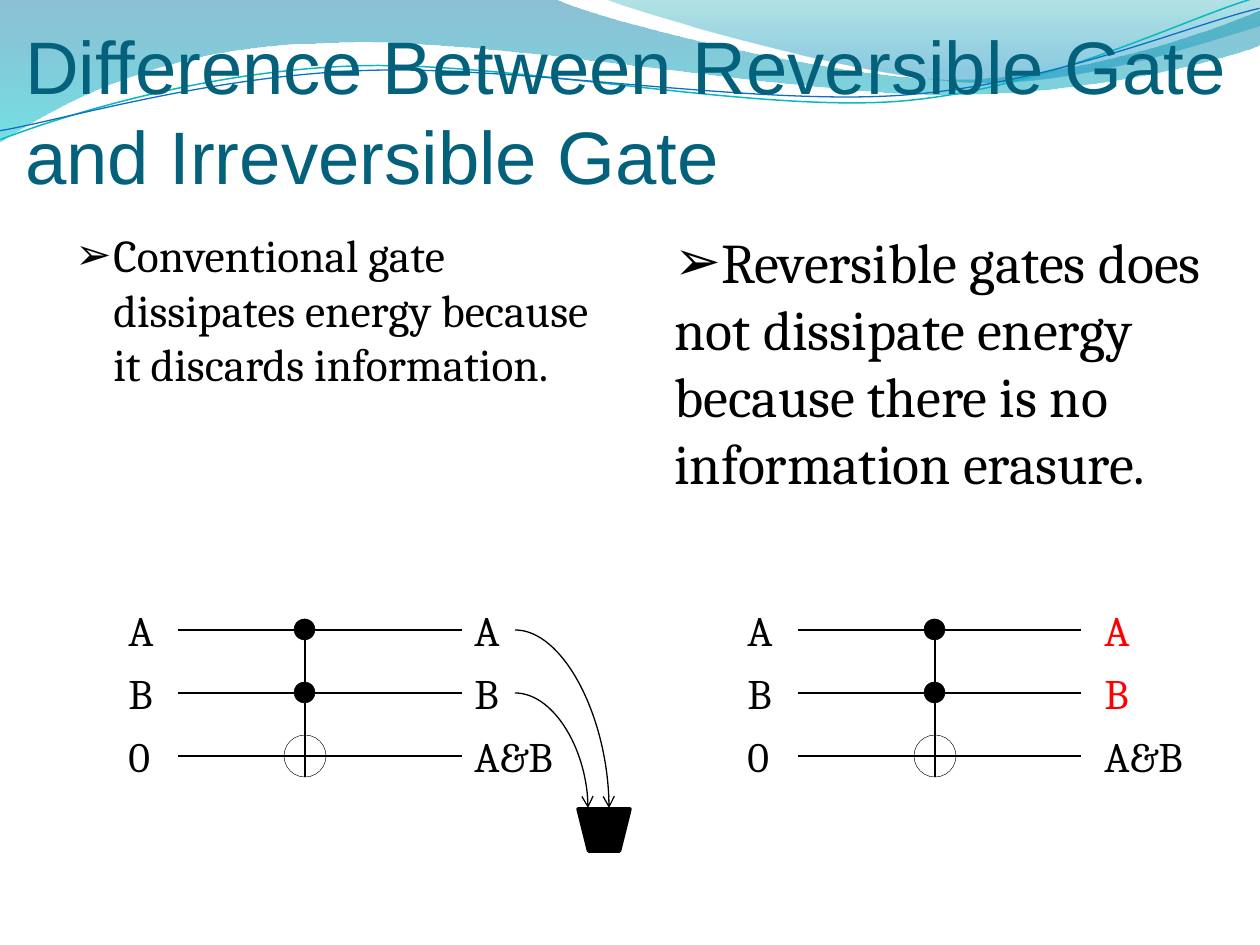
from dataclasses import dataclass

from lxml import etree
from pptx import Presentation
from pptx.dml.color import RGBColor
from pptx.enum.shapes import MSO_CONNECTOR, MSO_SHAPE
from pptx.enum.text import MSO_ANCHOR, MSO_AUTO_SIZE, PP_ALIGN
from pptx.oxml.ns import qn
from pptx.util import Pt

STRAIGHT, CURVE = MSO_CONNECTOR.STRAIGHT, MSO_CONNECTOR.CURVE
OVAL, TRAP = MSO_SHAPE.OVAL, MSO_SHAPE.TRAPEZOID
TOP, BOTTOM = MSO_ANCHOR.TOP, MSO_ANCHOR.BOTTOM
NO_FIT, LEFT = MSO_AUTO_SIZE.NONE, PP_ALIGN.LEFT
SCALE = 914400 / 126  # EMU in one px
TITLE_ONLY = 5
TILT = -2.7  # degrees, for both strokes


@dataclass(frozen=True)
class Theme:
    ink: str = "000000"
    paper: str = "FFFFFF"
    title: str = "04617B"
    kept: str = "FF0000"
    teal: str = "0AB8BF"
    blue: str = "0F6FC6"
    head: str = "Arial"
    body: str = "Cambria"
    title_size: float = 42.5
    left_size: int = 26
    right_size: int = 32
    label_size: int = 24


THEME = Theme()

# Waves: a pair is a line to that point, six numbers are a Bezier curve
BAND = [(0, 0), (555, -1), (600, 21, 837, 79, 955, 79),
        (1075, 79, 1207, 33, 1260, 11), (1261, 45),
        (1239, 55, 1096, 96, 940, 94), (784, 94, 481, 35, 324, 43),
        (163, 45, 58, 105, -1, 142)]
CREST = [(604, -1), (641, 14, 859, 78, 969, 82),
         (1079, 87, 1211, 40, 1260, 26), (1260, 0)]
UPPER = [(-2, 110), (58, 90, 200, 52, 350, 53),
         (499, 53, 745, 118, 896, 114), (1049, 109, 1184, 45, 1260, 27)]
LOWER = [(-2, 101), (57, 94, 207, 57, 358, 58),
         (509, 58, 750, 112, 902, 108), (1052, 104, 1188, 52, 1262, 38)]

ROWS = [630, 693, 756]  # wire heights of both gates


def px(n):
    return round(n * SCALE)


def rgb(code):
    return RGBColor.from_string(code)


def add_wave(slide, parts, close=False):
    """Outline of lines, of which each curve's three are then joined."""
    pen = slide.shapes.build_freeform(*parts[0], scale=SCALE)
    for part in parts[1:]:
        pen.add_line_segments(list(zip(part[::2], part[1::2])), close=False)
    if close:
        pen.add_line_segments([], close=True)
    wave = pen.convert_to_shape()
    wave.shadow.inherit = False
    lines = wave._element.spPr.iter(qn("a:lnTo"))
    lines = iter(list(lines))
    for part in parts[1:]:
        first = next(lines)
        if len(part) == 6:
            first.tag = qn("a:cubicBezTo")
            for _ in range(2):
                extra = next(lines)
                first.append(extra[0])
                extra.getparent().remove(extra)
    return wave


def add_band(slide, parts, stops):
    wave = add_wave(slide, parts, close=True)
    wave.line.fill.background()
    wave.fill.gradient()
    wave.fill.gradient_angle = 270
    for stop, (place, code, alpha) in zip(wave.fill.gradient_stops, stops):
        stop.position = place
        stop.color.rgb = rgb(code)
    # Transparency of each stop
    tints = wave.fill._xPr.iter(qn("a:srgbClr"))
    for tint, (place, code, alpha) in zip(tints, stops):
        etree.SubElement(tint, qn("a:alpha"), val=str(alpha * 1000))


def add_stroke(slide, parts, code, width):
    wave = add_wave(slide, parts)
    wave.rotation = TILT
    wave.fill.background()
    wave.line.color.rgb = rgb(code)
    wave.line.width = Pt(width)


def put_text(shape, text, size, font=THEME.body, color=THEME.ink,
             wrap=True, anchor=TOP, bullet=0, hang=0):
    frame = shape.text_frame
    frame.auto_size = NO_FIT
    frame.word_wrap = wrap
    frame.vertical_anchor = anchor
    para = frame.paragraphs[0]
    para.alignment = LEFT
    run = para.add_run()
    run.text = text
    run.font.size = Pt(size)
    run.font.name = font
    run.font.color.rgb = rgb(color)
    if bullet:
        props = para._p.get_or_add_pPr()
        props.set("marL", str(px(hang)))
        props.set("indent", str(-px(hang)))
        etree.SubElement(props, qn("a:buSzPct"), val=str(bullet * 1000))
        etree.SubElement(props, qn("a:buFont"), typeface="Arial")
        etree.SubElement(props, qn("a:buChar"), char="➢")


def add_text(slide, x, y, w, h, text, size, **form):
    box = slide.shapes.add_textbox(px(x), px(y), px(w), px(h))
    put_text(box, text, size, **form)


def add_title(slide, text):
    title = slide.shapes.title
    title.left, title.top = px(25), px(42)
    title.width, title.height = px(1203), px(157)
    frame = title.text_frame
    frame.margin_left = frame.margin_right = frame.margin_bottom = 0
    put_text(title, text, THEME.title_size, font=THEME.head,
             color=THEME.title, anchor=BOTTOM)
    # Keep the title in front of the waves
    slide.shapes._spTree.append(title._element)


def add_line(slide, x1, y1, x2, y2, kind=STRAIGHT):
    line = slide.shapes.add_connector(kind, px(x1), px(y1), px(x2), px(y2))
    line.line.color.rgb = rgb(THEME.ink)
    line.line.width = Pt(0.75)
    etree.SubElement(line._element.spPr, qn("a:effectLst"))
    return line


def add_arc(slide, x1, y1, x2, y2):
    """Arrow that leaves sideways and lands downwards."""
    arc = add_line(slide, x1, y1, x2, y2, CURVE)
    arc._element.spPr.find(qn("a:prstGeom")).set("prst", "curvedConnector2")
    etree.SubElement(arc.line._get_or_add_ln(), qn("a:tailEnd"), type="arrow")


def add_shape(slide, kind, x, y, w, h, fill=THEME.ink, width=0.25):
    shape = slide.shapes.add_shape(kind, px(x), px(y), px(w), px(h))
    shape.shadow.inherit = False
    shape.fill.solid()
    shape.fill.fore_color.rgb = rgb(fill)
    shape.line.color.rgb = rgb(THEME.ink)
    shape.line.width = Pt(width)
    return shape


def add_gate(slide, mid, start, end, left, right, color):
    for y in ROWS:
        add_line(slide, start, y, end, y)
    add_line(slide, mid, ROWS[-1], mid, ROWS[0])
    # Two control dots and the target
    for y in ROWS[:2]:
        add_shape(slide, OVAL, mid - 11, y - 11, 21, 21)
    y = ROWS[-1]
    add_shape(slide, OVAL, mid - 21, y - 21, 42, 42, fill=THEME.paper)
    add_line(slide, mid + 21, y, mid - 21, y)
    add_line(slide, mid, y - 21, mid, y + 21)
    # Inputs and outputs
    ends = [("A", 54, "A", 54, color), ("B", 54, "B", 54, color),
            ("0", 49, "A&B", 111, THEME.ink)]
    for y, (into, w_in, out, w_out, tone) in zip(ROWS, ends):
        add_text(slide, left, y - 32, w_in, 63, into, THEME.label_size,
                 wrap=False)
        add_text(slide, right, y - 32, w_out, 63, out, THEME.label_size,
                 wrap=False, color=tone)


def add_bin(slide):
    add_shape(slide, TRAP, 578, 809, 52, 42, width=2).rotation = 180
    for y, x in zip(ROWS, (609, 588)):
        add_arc(slide, 515, y, x, 808)


def main():
    deck = Presentation()
    deck.slide_width, deck.slide_height = px(1260), px(945)
    slide = deck.slides.add_slide(deck.slide_layouts[TITLE_ONLY])

    # Backdrop
    add_band(slide, BAND, [(0, "0074A1", 45), (1, "00C6CF", 55)])
    add_band(slide, CREST, [(0, "00A1A9", 30), (0.8, "008BBF", 45)])
    add_stroke(slide, UPPER, THEME.teal, 0.85)
    add_stroke(slide, LOWER, THEME.blue, 0.75)

    # Statements
    add_text(slide, 63, 221, 567, 336, "Conventional gate dissipates energy "
             "because it discards information.", THEME.left_size,
             bullet=95, hang=38)
    add_text(slide, 662, 221, 567, 336, "Reversible gates does not dissipate "
             "energy because there is no information erasure.",
             THEME.right_size, bullet=100)

    # Circuits
    add_gate(slide, 305, 178, 462, 116, 462, THEME.ink)
    add_bin(slide)
    add_gate(slide, 935, 798, 1081, 735, 1092, THEME.kept)

    add_title(slide, "Difference Between Reversible Gate and "
              "Irreversible Gate")
    deck.save("out.pptx")


if __name__ == "__main__":
    main()
